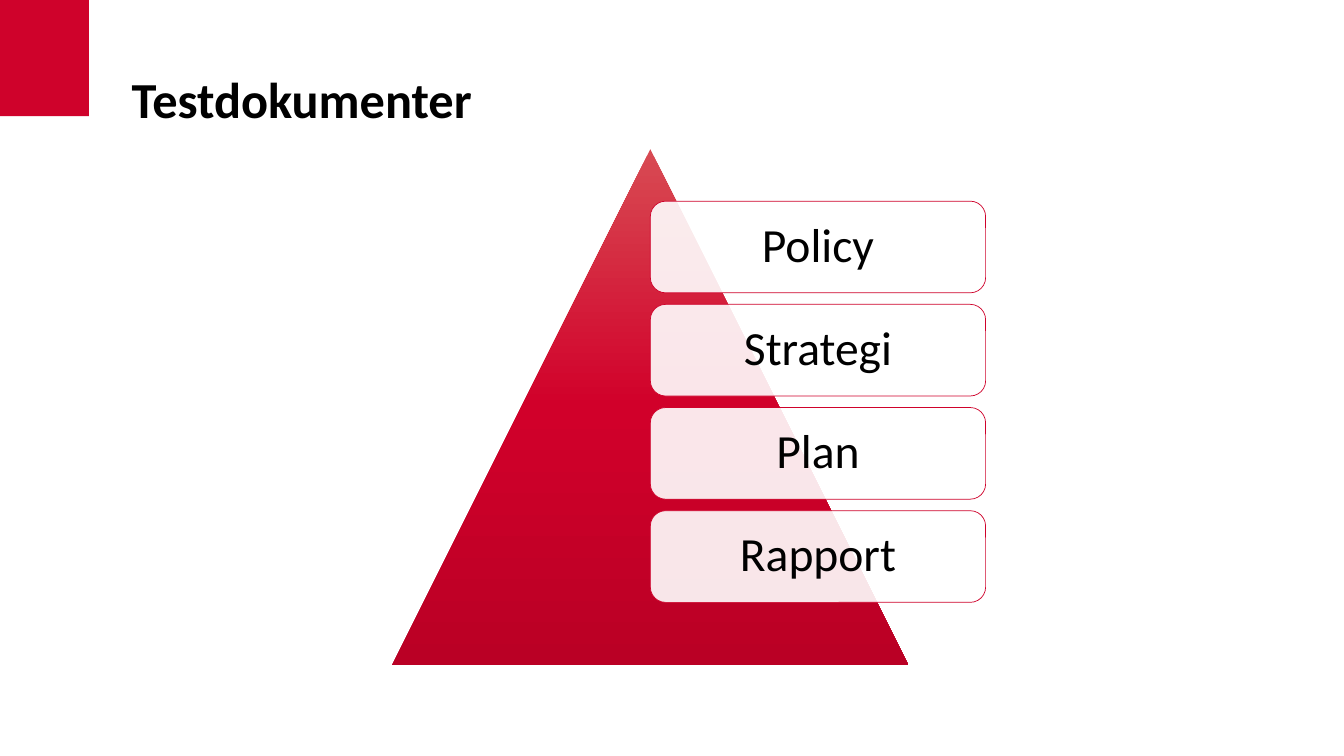
from copy import deepcopy
from dataclasses import dataclass

from pptx import Presentation
from pptx.dml.color import RGBColor
from pptx.enum.shapes import MSO_SHAPE as Shape
from pptx.enum.text import MSO_ANCHOR as Anchor, PP_ALIGN as Align
from pptx.oxml.ns import qn
from pptx.oxml.xmlchemy import OxmlElement
from pptx.util import Cm, Pt


@dataclass(frozen=True)
class Theme:
    font: str = "Calibri"
    ink: str = "000000"
    paper: str = "FFFFFF"
    red: str = "CF022B"
    pyramid: tuple = ((0, "D84B53"), (0.5, "D1002A"), (1, "BA0025"))
    title_size: int = 36
    card_size: int = 34
    card_opacity: int = 90


def assign(target, values):
    for name, value in values.items():
        setattr(target, name, value)


class Painter:
    def __init__(self, page, theme):
        self.page = page
        self.theme = theme

    def shape(self, kind, left, top, width, height):
        box = self.page.shapes.add_shape(kind, Cm(left), Cm(top), Cm(width), Cm(height))
        box.shadow.inherit = False
        box.line.fill.background()
        return box

    def block(self, left, top, width, height):
        box = self.shape(Shape.RECTANGLE, left, top, width, height)
        box.fill.solid()
        box.fill.fore_color.rgb = RGBColor.from_string(self.theme.red)

    def label(self, box, text, size, anchor, align, bold=False, **margins):
        frame = box.text_frame
        assign(frame, {"word_wrap": True, "vertical_anchor": anchor, **margins})
        para = frame.paragraphs[0]
        assign(para, {"alignment": align, "line_spacing": 0.9})
        span = para.add_run()
        span.text = text
        assign(span.font, {"name": self.theme.font, "size": Pt(size), "bold": bold})
        span.font.color.rgb = RGBColor.from_string(self.theme.ink)

    def title(self, text, left, top, width, height):
        box = self.page.shapes.add_textbox(Cm(left), Cm(top), Cm(width), Cm(height))
        self.label(box, text, self.theme.title_size, Anchor.BOTTOM, Align.LEFT, bold=True)

    def pyramid(self, left, top, side):
        box = self.shape(Shape.ISOSCELES_TRIANGLE, left, top, side, side)
        box.fill.gradient()
        box.fill.gradient_angle = 270
        stop_list = box.element.spPr.find(qn("a:gradFill")).find(qn("a:gsLst"))
        stop_list.append(deepcopy(stop_list[-1]))
        for stop, (position, color) in zip(box.fill.gradient_stops, self.theme.pyramid):
            stop.position = position
            stop.color.rgb = RGBColor.from_string(color)

    def card(self, text, left, top, width, height):
        box = self.shape(Shape.ROUNDED_RECTANGLE, left, top, width, height)
        box.fill.solid()
        box.fill.fore_color.rgb = RGBColor.from_string(self.theme.paper)
        alpha = OxmlElement("a:alpha")
        alpha.set("val", str(self.theme.card_opacity * 1000))
        box.element.spPr.find(qn("a:solidFill"))[0].append(alpha)
        box.line.color.rgb = RGBColor.from_string(self.theme.red)
        box.line.width = Pt(0.5)
        sides = ("left", "right", "top", "bottom")
        margins = {f"margin_{side}": Cm(0.36) for side in sides}
        self.label(box, text, self.theme.card_size, Anchor.MIDDLE, Align.CENTER, **margins)


def main():
    deck = Presentation()
    assign(deck, {"slide_width": Cm(33.87), "slide_height": Cm(19.05)})
    page = deck.slides.add_slide(deck.slide_layouts[6])
    painter = Painter(page, Theme())

    painter.block(0, 0, 2.24, 2.93)
    painter.title("Testdokumenter", 3.07, 0, 28.55, 3.38)

    pyramid_left, pyramid_top, side = 9.89, 3.76, 13
    painter.pyramid(pyramid_left, pyramid_top, side)

    cards_top, card_height, gap = 5.07, 2.31, 0.29
    for row, name in enumerate(("Policy", "Strategi", "Plan", "Rapport")):
        top = cards_top + row * (card_height + gap)
        painter.card(name, pyramid_left + side / 2, top, side * 0.65, card_height)

    deck.save("out.pptx")


if __name__ == "__main__":
    main()
